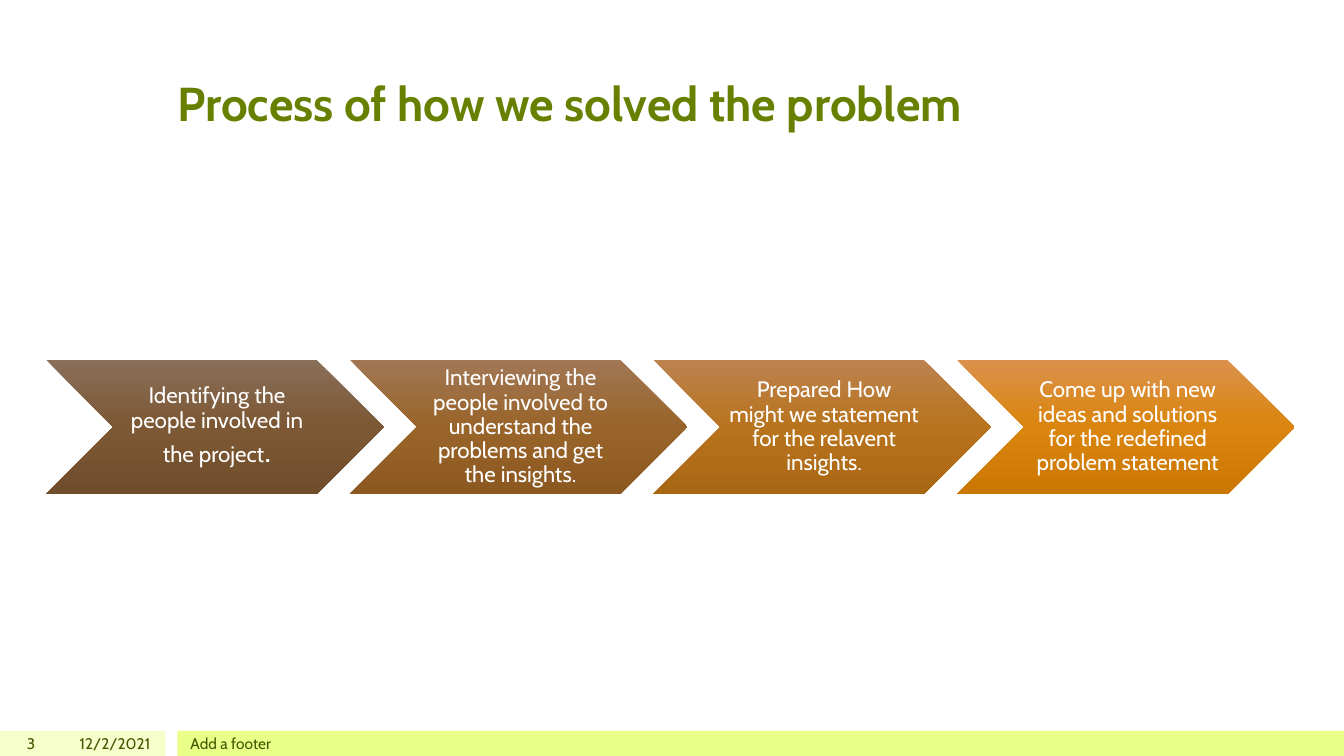
from copy import deepcopy

from pptx import Presentation
from pptx.dml.color import RGBColor
from pptx.enum import shapes, text
from pptx.util import Cm, Pt

FONT = "Cabin"
COLORS = {
    "title": "688000",
    "footer": "455500",
    "pale bar": "F6FFCC",
    "bright bar": "E9FF88",
    "step text": "FFFFFF",
}
TITLE = "Process of how we solved the problem"

# Runs of (text, size), then gradient colours from top to bottom
STEPS = [
    ([("Identifying the people involved in the project", 16), (".", 24)],
     ("896E59", "7C5834", "714E2B")),
    ([("Interviewing the people involved to understand the problems "
       "and get the insights.", 16)],
     ("A17754", "99642A", "8C5920")),
    ([("Prepared How might we statement for the relavent insights.", 16)],
     ("BC8350", "B8731D", "AA6713")),
    ([("Come up with new ideas and solutions for the redefined "
       "problem statement", 16)],
     ("DB914C", "DA850D", "CA7703")),
]
STEP_LEFT, STEP_TOP, STEP_WIDTH, STEP_HEIGHT = 1.16, 9.06, 8.51, 3.4
STEP_PITCH = 7.65

# Left, width
BARS = [("pale bar", 0, 4.17), ("bright bar", 4.47, 29.4)]
FOOTERS = [
    ("3", 0, 1.14, text.PP_ALIGN.RIGHT),
    ("12/2/2021", 1.27, 2.77, text.PP_ALIGN.RIGHT),
    ("Add a footer", 4.55, 25.4, text.PP_ALIGN.LEFT),
]
FOOTER_TOP, FOOTER_HEIGHT = 18.42, 0.63


def rgb(value):
    return RGBColor.from_string(value)


def style(para, size, color, align, bold=False):
    para.alignment = align
    font = para.font
    font.name, font.size, font.bold = FONT, Pt(size), bold
    font.color.rgb = rgb(color)


def add_plain_shape(page, kind, left, top, width, height):
    """Add a preset shape without outline or shadow."""
    shape = page.shapes.add_shape(kind, Cm(left), Cm(top), Cm(width), Cm(height))
    shape.line.fill.background()
    shape.shadow.inherit = False
    return shape


def fill_downward(shape, colors):
    """Fill with a three-colour gradient running from top to bottom."""
    fill = shape.fill
    fill.gradient()
    fill.gradient_angle = 270
    first = shape.element.spPr.xpath("./a:gradFill/a:gsLst/a:gs")[0]
    first.addnext(deepcopy(first))
    for stop, color, position in zip(fill.gradient_stops, colors, (0, 0.5, 1)):
        stop.color.rgb = rgb(color)
        stop.position = position


def add_title(page):
    title = page.shapes.title
    title.left, title.top, title.width, title.height = (
        Cm(4.22), Cm(1.27), Cm(26.04), Cm(2.16))
    frame = title.text_frame
    frame.text = TITLE
    frame.auto_size = text.MSO_AUTO_SIZE.NONE
    frame.vertical_anchor = text.MSO_ANCHOR.BOTTOM
    style(frame.paragraphs[0], 34, COLORS["title"], text.PP_ALIGN.LEFT, bold=True)


def add_footer(page):
    for color, left, width in BARS:
        bar = add_plain_shape(page, shapes.MSO_SHAPE.RECTANGLE,
                              left, FOOTER_TOP, width, FOOTER_HEIGHT)
        bar.fill.solid()
        bar.fill.fore_color.rgb = rgb(COLORS[color])
    for words, left, width, align in FOOTERS:
        box = page.shapes.add_textbox(Cm(left), Cm(FOOTER_TOP), Cm(width),
                                      Cm(FOOTER_HEIGHT))
        frame = box.text_frame
        frame.text = words
        frame.word_wrap = True
        frame.margin_top = frame.margin_bottom = 0
        frame.vertical_anchor = text.MSO_ANCHOR.MIDDLE
        style(frame.paragraphs[0], 11, COLORS["footer"], align)


def add_step(page, index, spans, colors):
    chevron = add_plain_shape(page, shapes.MSO_SHAPE.CHEVRON,
                              STEP_LEFT + index * STEP_PITCH, STEP_TOP,
                              STEP_WIDTH, STEP_HEIGHT)
    fill_downward(chevron, colors)
    frame = chevron.text_frame
    frame.word_wrap = True
    frame.vertical_anchor = text.MSO_ANCHOR.MIDDLE
    frame.margin_left = Cm(0.17)
    frame.margin_top = frame.margin_right = frame.margin_bottom = Cm(0.06)
    para = frame.paragraphs[0]
    style(para, 16, COLORS["step text"], text.PP_ALIGN.CENTER)
    para.line_spacing = 0.9
    for words, size in spans:
        span = para.add_run()
        span.text = words
        span.font.size = Pt(size)


def main():
    deck = Presentation()
    deck.slide_width, deck.slide_height = Cm(33.87), Cm(19.05)
    page = deck.slides.add_slide(deck.slide_layouts.get_by_name("Title Only"))
    add_title(page)
    add_footer(page)
    for index, (spans, colors) in enumerate(STEPS):
        add_step(page, index, spans, colors)
    deck.save("out.pptx")


if __name__ == "__main__":
    main()
